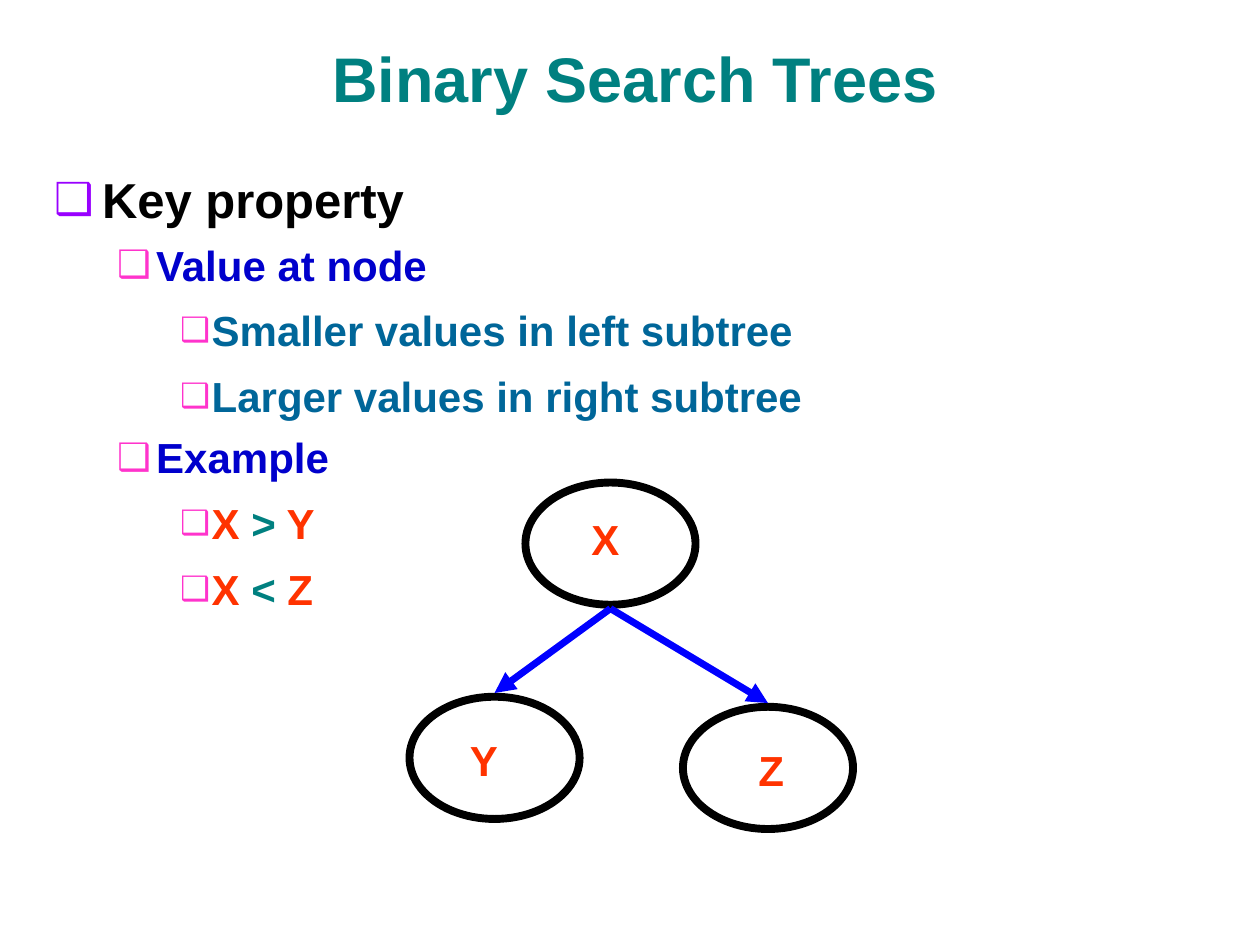
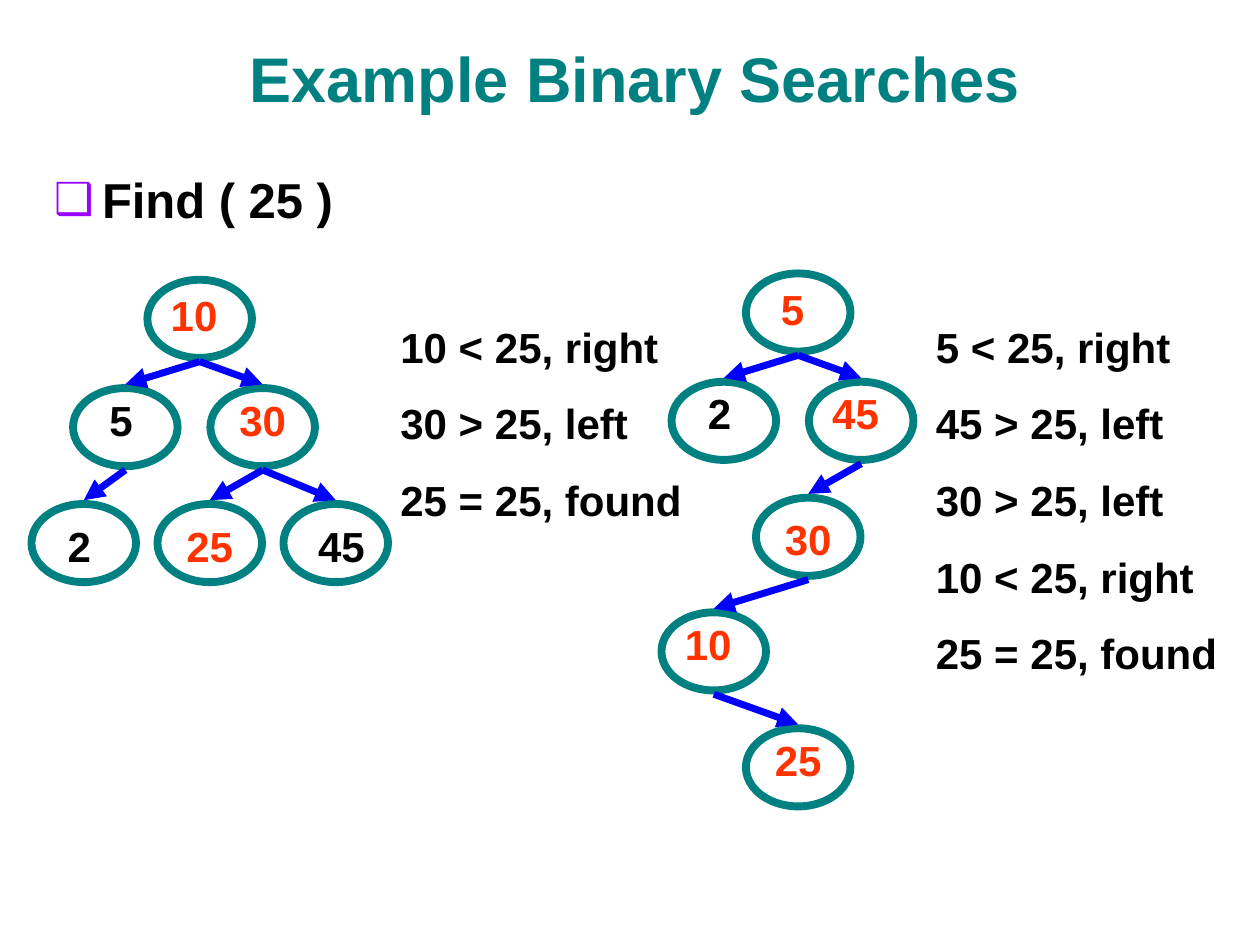
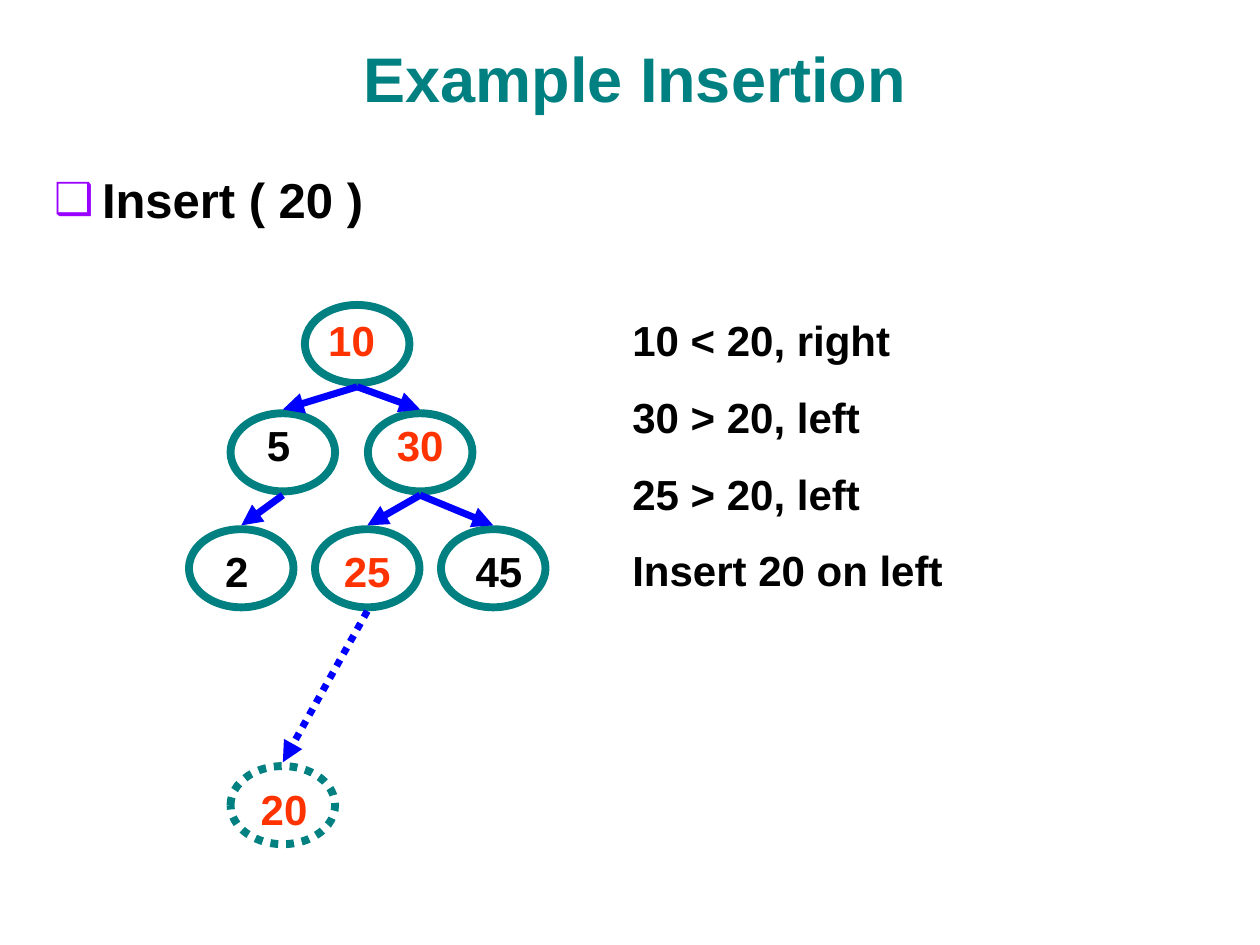
from dataclasses import dataclass, replace
from typing import Optional

from lxml.etree import SubElement
from pptx import Presentation
from pptx.dml.color import RGBColor
from pptx.enum.dml import MSO_LINE
from pptx.enum.shapes import MSO_CONNECTOR, MSO_SHAPE
from pptx.enum.text import MSO_ANCHOR, MSO_AUTO_SIZE, PP_ALIGN
from pptx.oxml.ns import qn
from pptx.util import Inches, Pt

FONT = "Arial"
COLORS = {
    "teal": "008080", "black": "000000", "navy": "0000CC", "steel": "006699",
    "red": "FF3300", "blue": "0000FF", "violet": "9900FF", "pink": "FF33CC",
}
GAP = 0.03  # between an arrow end and the node outline


@dataclass(frozen=True)
class Level:
    """Look of one outline level; lengths in inches, sizes in points."""
    size: int
    color: str
    bullet: str
    scale: int
    margin: float
    hang: float
    before: int
    line: float


@dataclass(frozen=True)
class Item:
    """One outline line, made of (text, colour) pieces."""
    level: int
    pieces: tuple


@dataclass(frozen=True)
class Node:
    """One tree node; the label box is placed from the node's corner."""
    text: str
    left: float
    top: float
    dx: float
    dy: float
    width: float
    parent: Optional[int] = None
    color: str = "red"
    dotted: bool = False


@dataclass(frozen=True)
class Style:
    """Size and outline colour of the nodes of a tree."""
    width: float
    height: float
    color: str


LEVELS = (
    Level(28, "black", "violet", 90, 0.38, 0.38, 7, 1.1),
    Level(24, "navy", "pink", 90, 0.81, 0.31, 6, 1.0),
    Level(24, "steel", "pink", 80, 1.25, 0.25, 6, 1.1),
)
LARGE = Style(1.35, 0.97, "black")
SMALL = Style(0.83, 0.62, "teal")

KEYS = (
    Node("X", 4.17, 3.83, 0.16, 0.2, 0.95),
    Node("Y", 3.25, 5.53, 0.25, 0.25, 0.68, 0),
    Node("Z", 5.42, 5.61, 0.16, 0.25, 1.08, 0),
)
# Places of the next two trees are counted from the left edge and the root's top.
FULL = (
    Node("10", 0.92, 0, 0.08, 0.03, 0.58),
    Node("5", 0.33, 0.86, 0.17, 0, 0.42, 0, "black"),
    Node("30", 1.42, 0.86, 0.08, 0, 0.67, 0),
    Node("2", 0, 1.78, 0.17, 0.08, 0.42, 1, "black"),
    Node("25", 1, 1.78, 0.08, 0.08, 0.67, 2),
    Node("45", 2, 1.78, 0.17, 0.08, 0.58, 2, "black"),
)
CHAIN = (
    Node("5", 0.67, 0, 0.16, 0.03, 0.42),
    Node("2", 0.08, 0.86, 0.17, 0, 0.42, 0, "black"),
    Node("45", 1.17, 0.86, 0.08, 0, 0.58, 0),
    Node("30", 0.75, 1.78, 0.08, 0.08, 0.67, 2),
    Node("10", 0, 2.69, 0.08, 0, 0.58, 3),
    Node("25", 0.67, 3.61, 0.08, 0, 0.67, 4),
)
NEW = Node("20", 0.33, 3.66, 0.09, 0.09, 0.67, 4, dotted=True)


def rgb(name: str) -> RGBColor:
    """Look up a named colour."""
    return RGBColor.from_string(COLORS[name])


def ink(para, size: int, color: str) -> None:
    """Format all runs of a paragraph."""
    for run in para.runs:
        font = run.font
        font.name, font.size, font.bold = FONT, Pt(size), True
        font.color.rgb = rgb(color)


def mark(para, level: Level) -> None:
    """Give a paragraph its indent, spacing and box bullet."""
    para.space_before = Pt(level.before)
    para.line_spacing = level.line
    props = para._p.get_or_add_pPr()
    props.set("marL", str(Inches(level.margin)))
    props.set("indent", str(-Inches(level.hang)))
    tint = SubElement(props, qn("a:buClr"))
    SubElement(tint, qn("a:srgbClr"), val=COLORS[level.bullet])
    SubElement(props, qn("a:buSzPct"), val=str(level.scale * 1000))
    SubElement(props, qn("a:buFont"), typeface=FONT)
    SubElement(props, qn("a:buChar"), char="\u2751")


def place(shape, left: float, top: float, width: float, height: float) -> None:
    """Move and size a shape."""
    shape.left, shape.top = Inches(left), Inches(top)
    shape.width, shape.height = Inches(width), Inches(height)


def start(deck, title: str, items: tuple):
    """Add a slide with its title and outline."""
    slide = deck.slides.add_slide(deck.slide_layouts[1])
    head, body = slide.shapes.title, slide.placeholders[1]
    place(head, 0.33, 0.17, 9.42, 0.79)
    place(body, 0.33, 1.25, 9.42, 5.83)
    for holder in (head, body):
        holder.text_frame.auto_size = MSO_AUTO_SIZE.NONE
    head.text_frame.text = title
    head.text_frame.vertical_anchor = MSO_ANCHOR.BOTTOM
    para = head.text_frame.paragraphs[0]
    para.alignment = PP_ALIGN.CENTER
    ink(para, 36, "teal")
    frame = body.text_frame
    for count, item in enumerate(items):
        para = frame.add_paragraph() if count else frame.paragraphs[0]
        level = LEVELS[item.level]
        para.level = item.level
        mark(para, level)
        for text, _ in item.pieces:
            para.add_run().text = text
        ink(para, level.size, level.color)
        for run, (_, color) in zip(para.runs, item.pieces):
            run.font.color.rgb = rgb(color)
    return slide


def plain(level: int, text: str) -> Item:
    """Make an outline line in its level's own colour."""
    return Item(level, ((text, LEVELS[level].color),))


def rule(left: str, sign: str, right: str) -> Item:
    """Make an outline line that compares two keys."""
    return Item(2, ((left + " ", "red"), (sign, "teal"), (" " + right, "red")))


def write(slide, left: float, top: float, width: float, height: float,
          lines: tuple, color: str = "black", align=PP_ALIGN.LEFT,
          before: int = 0) -> None:
    """Add a text box, one paragraph to a line."""
    box = slide.shapes.add_textbox(
        Inches(left), Inches(top), Inches(width), Inches(height))
    frame = box.text_frame
    frame.word_wrap = True
    frame.auto_size = MSO_AUTO_SIZE.SHAPE_TO_FIT_TEXT
    frame.text = "\n".join(lines)
    for para in frame.paragraphs:
        para.alignment = align
        para.space_before = Pt(before)
        ink(para, 24, color)


def steps(slide, left: float, top: float, width: float, lines: tuple) -> None:
    """List the comparisons made on the way down a tree."""
    height = 0.5 + 0.61 * (len(lines) - 1)
    write(slide, left, top, width, height, lines, before=15)


def arrow(slide, above: Node, below: Node, style: Style) -> None:
    """Draw the arrow from a parent down to a child."""
    half = style.width / 2
    line = slide.shapes.add_connector(
        MSO_CONNECTOR.STRAIGHT,
        Inches(above.left + half), Inches(above.top + style.height + GAP),
        Inches(below.left + half), Inches(below.top - GAP))
    line.line.color.rgb = rgb("blue")
    line.line.width = Pt(4)
    if below.dotted:
        line.line.dash_style = MSO_LINE.ROUND_DOT
    SubElement(line.line._get_or_add_ln(), qn("a:tailEnd"), type="triangle")
    SubElement(line._element.spPr, qn("a:effectLst"))


def oval(slide, node: Node, style: Style) -> None:
    """Draw a node's outline and its label."""
    ring = slide.shapes.add_shape(
        MSO_SHAPE.OVAL, Inches(node.left), Inches(node.top),
        Inches(style.width), Inches(style.height))
    ring.shadow.inherit = False
    ring.fill.background()
    ring.line.color.rgb = rgb(style.color)
    ring.line.width = Pt(4.5)
    if node.dotted:
        ring.line.dash_style = MSO_LINE.ROUND_DOT
    write(slide, node.left + node.dx, node.top + node.dy, node.width, 0.5,
          (node.text,), node.color, PP_ALIGN.CENTER)


def tree(slide, nodes: tuple, style: Style, left: float = 0,
         top: float = 0) -> None:
    """Draw a tree of nodes joined by arrows."""
    moved = [replace(node, left=node.left + left, top=node.top + top)
             for node in nodes]
    for node in moved:
        oval(slide, node, style)
    for node in moved:
        if node.parent is not None:
            arrow(slide, moved[node.parent], node, style)


def main() -> None:
    """Build and save the deck."""
    deck = Presentation()
    deck.slide_width, deck.slide_height = Inches(10), Inches(7.5)

    slide = start(deck, "Binary Search Trees", (
        plain(0, "Key property"),
        plain(1, "Value at node"),
        plain(2, "Smaller values in left subtree"),
        plain(2, "Larger values in right subtree"),
        plain(1, "Example"),
        rule("X", ">", "Y"),
        rule("X", "<", "Z"),
    ))
    tree(slide, KEYS, LARGE)

    slide = start(deck, "Example Binary Searches", (plain(0, "Find ( 25 )"),))
    tree(slide, FULL, SMALL, 0.25, 2.22)
    tree(slide, CHAIN, SMALL, 5.25, 2.17)
    steps(slide, 3.08, 2.5, 2.5,
          ("10 < 25, right", "30 > 25, left", "25 = 25, found"))
    steps(slide, 7.33, 2.5, 2.5,
          ("5 < 25, right", "45 > 25, left", "30 > 25, left",
           "10 < 25, right", "25 = 25, found"))

    slide = start(deck, "Example Insertion", (plain(0, "Insert ( 20 )"),))
    tree(slide, FULL + (NEW,), SMALL, 1.5, 2.42)
    steps(slide, 4.92, 2.45, 3.75,
          ("10 < 20, right", "30 > 20, left", "25 > 20, left",
           "Insert 20 on left"))

    deck.save("out.pptx")


main()
